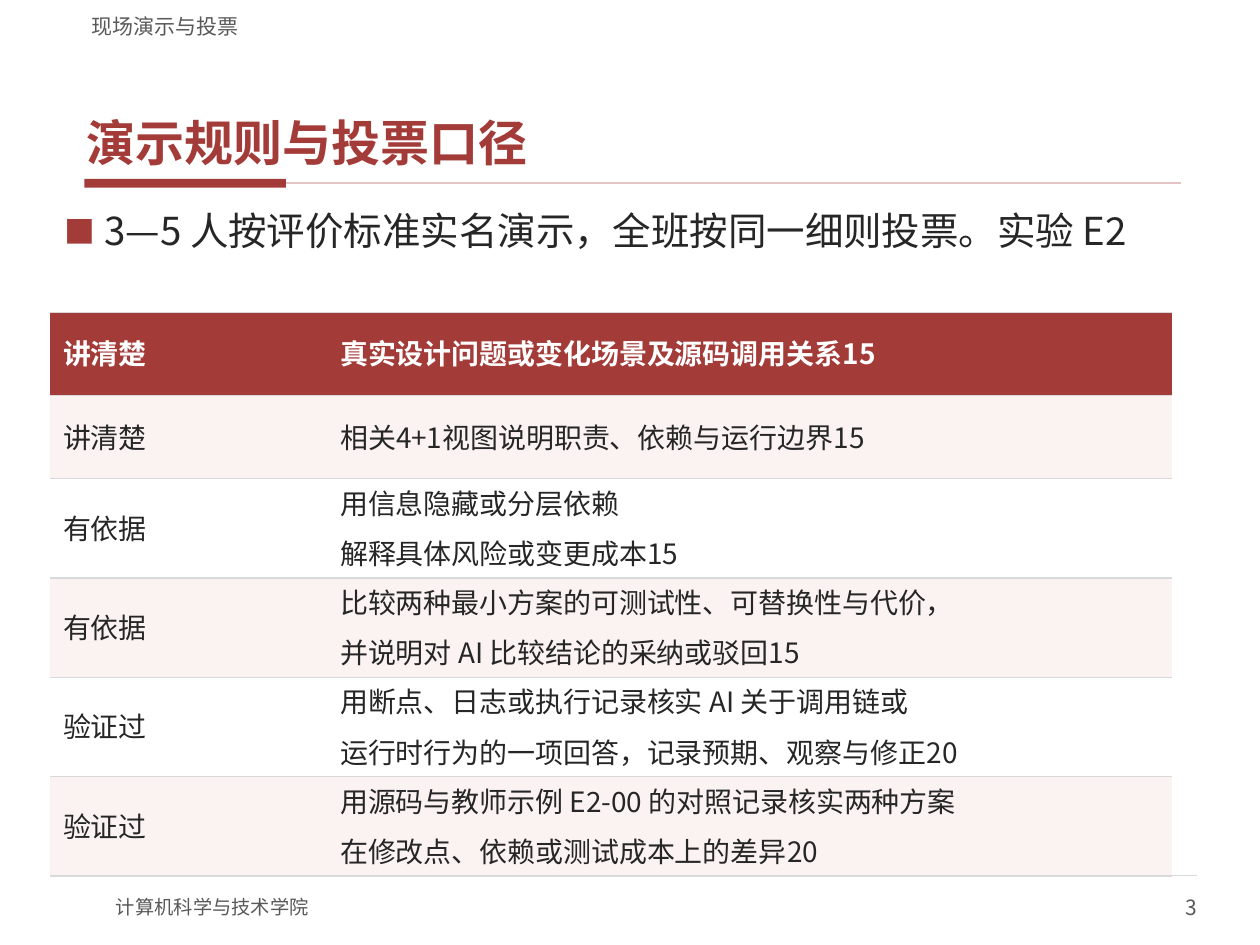
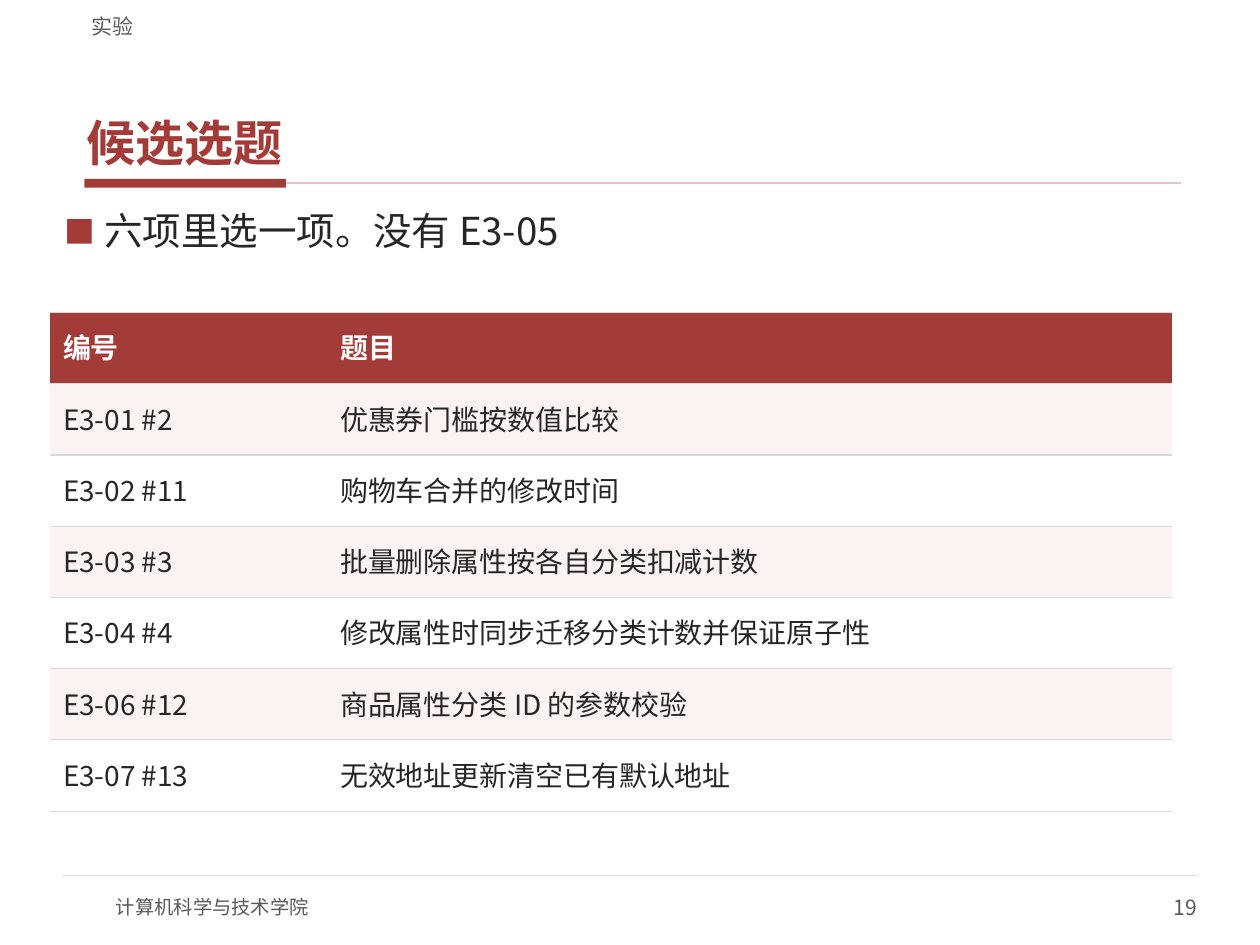
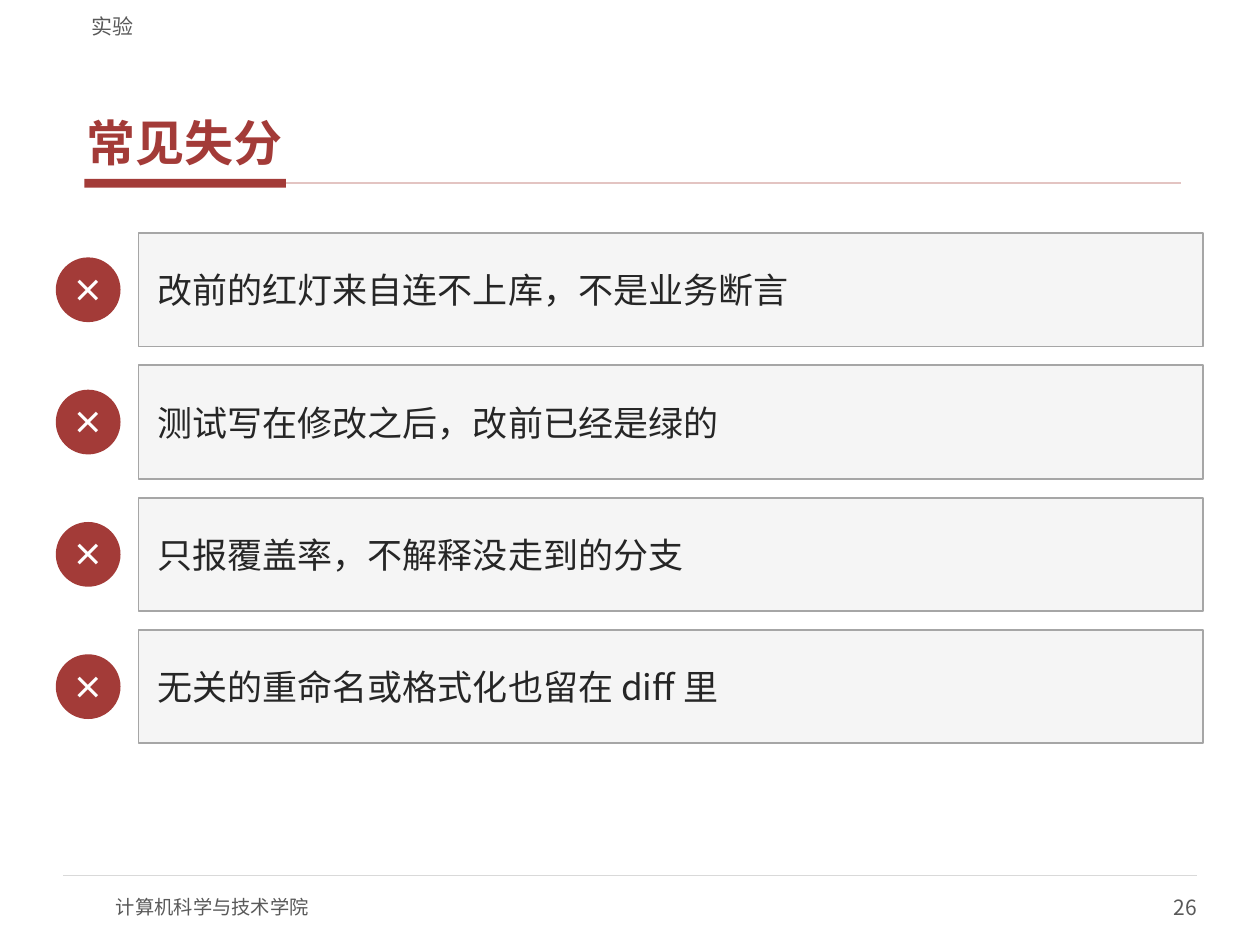
from lxml.etree import SubElement
from pptx import Presentation
from pptx.dml.color import RGBColor
from pptx.enum.shapes import MSO_CONNECTOR, MSO_SHAPE
from pptx.enum.text import MSO_ANCHOR, MSO_AUTO_SIZE, PP_ALIGN
from pptx.oxml.ns import qn
from pptx.util import Pt

# Content
FOOTER = "计算机科学与技术学院"
SLIDES = [
    {
        "section": "现场演示与投票",
        "title": "演示规则与投票口径",
        "number": 3,
        "lead": "3—5 人按评价标准实名演示，全班按同一细则投票。实验 E2",
        "rows": [
            ("讲清楚", "真实设计问题或变化场景及源码调用关系15"),
            ("讲清楚", "相关4+1视图说明职责、依赖与运行边界15"),
            ("有依据", "用信息隐藏或分层依赖\n解释具体风险或变更成本15"),
            ("有依据", "比较两种最小方案的可测试性、可替换性与代价，\n"
                       "并说明对 AI 比较结论的采纳或驳回15"),
            ("验证过", "用断点、日志或执行记录核实 AI 关于调用链或\n"
                       "运行时行为的一项回答，记录预期、观察与修正20"),
            ("验证过", "用源码与教师示例 E2-00 的对照记录核实两种方案\n"
                       "在修改点、依赖或测试成本上的差异20"),
        ],
    },
    {
        "section": "实验",
        "title": "候选选题",
        "number": 19,
        "lead": "六项里选一项。没有 E3-05",
        "rows": [
            ("编号", "题目"),
            ("E3-01 #2", "优惠券门槛按数值比较"),
            ("E3-02 #11", "购物车合并的修改时间"),
            ("E3-03 #3", "批量删除属性按各自分类扣减计数"),
            ("E3-04 #4", "修改属性时同步迁移分类计数并保证原子性"),
            ("E3-06 #12", "商品属性分类 ID 的参数校验"),
            ("E3-07 #13", "无效地址更新清空已有默认地址"),
        ],
    },
    {
        "section": "实验",
        "title": "常见失分",
        "number": 26,
        "mistakes": [
            "改前的红灯来自连不上库，不是业务断言",
            "测试写在修改之后，改前已经是绿的",
            "只报覆盖率，不解释没走到的分支",
            "无关的重命名或格式化也留在 diff 里",
        ],
    },
]

# Shared style
FONT = "Noto Sans CJK SC"
RED = RGBColor(0xA3, 0x3B, 0x38)
PALE_RED = RGBColor(0xE3, 0xC4, 0xC2)
BAND = RGBColor(0xFB, 0xF3, 0xF2)
WHITE = RGBColor(0xFF, 0xFF, 0xFF)
INK = RGBColor(0x26, 0x26, 0x26)
GREY = RGBColor(0x59, 0x59, 0x59)
RULE_GREY = RGBColor(0xD9, 0xD9, 0xD9)
CARD_FILL = RGBColor(0xF5, 0xF5, 0xF5)
CARD_LINE = RGBColor(0xA6, 0xA6, 0xA6)

TITLE_STYLE = {"size": Pt(28), "bold": True, "color": RED}
LEAD_STYLE = {"size": Pt(22), "color": INK}
HEADER_STYLE = {"size": Pt(16), "bold": True, "color": WHITE}
CELL_STYLE = {"size": Pt(16), "bold": False, "color": INK}
CARD_STYLE = {"size": Pt(20), "color": INK}
MARK_STYLE = {"size": Pt(18), "bold": True, "color": WHITE}
SMALL_STYLE = {"size": Pt(12), "color": GREY}
FOOTER_STYLE = {"size": Pt(11), "color": GREY}

TEXT_INSETS = (4.32, 1.44)
TABLE_BOX = (28.8, 178.56, 640.8, 285.12)
COLUMN_WIDTHS = (158.4, 482.4)
CARD_TOP, CARD_HEIGHT, CARD_GAP = 133.2, 64.8, 10.8
MARK_SIZE = 36


def points(*values):
    return [Pt(value) for value in values]


def write(frame, text, style, align=PP_ALIGN.LEFT, before=0, after=0, spacing=None):
    """Fill a text frame, one paragraph per line of text."""
    for index, line in enumerate(text.split("\n")):
        paragraph = frame.paragraphs[0] if index == 0 else frame.add_paragraph()
        formats = {
            "alignment": align,
            "space_before": Pt(before if index else 0),
            "space_after": Pt(after),
            "line_spacing": spacing,
        }
        for name, value in formats.items():
            setattr(paragraph, name, value)
        run = paragraph.add_run()
        run.text = line
        run.font.name = FONT
        for name, value in style.items():
            if name == "color":
                run.font.color.rgb = value
            else:
                setattr(run.font, name, value)
        properties = run._r.get_or_add_rPr()
        SubElement(properties, qn("a:ea"), typeface=FONT)


def set_frame(frame, anchor, insets=(0, 0)):
    horizontal, vertical = points(*insets)
    formats = {
        "word_wrap": True,
        "auto_size": MSO_AUTO_SIZE.NONE,
        "vertical_anchor": anchor,
        "margin_left": horizontal,
        "margin_right": horizontal,
        "margin_top": vertical,
        "margin_bottom": vertical,
    }
    for name, value in formats.items():
        setattr(frame, name, value)


def add_text(slide, box, text, style, anchor, insets=(0, 0), **paragraph_format):
    frame = slide.shapes.add_textbox(*points(*box)).text_frame
    set_frame(frame, anchor, insets)
    write(frame, text, style, **paragraph_format)
    return frame


def add_block(slide, kind, box, fill, line=None):
    shape = slide.shapes.add_shape(kind, *points(*box))
    shape.shadow.inherit = False
    shape.fill.solid()
    shape.fill.fore_color.rgb = fill
    if line is None:
        shape.line.fill.background()
    else:
        shape.line.color.rgb = line
        shape.line.width = Pt(1)
    return shape


def add_rule(slide, left, right, y, color, width):
    rule = slide.shapes.add_connector(MSO_CONNECTOR.STRAIGHT, *points(left, y, right, y))
    rule.line.color.rgb = color
    rule.line.width = Pt(width)
    SubElement(rule._element.spPr, qn("a:effectLst"))
    return rule


def add_frame(slide, content):
    """Title with its rule, section label, footer and page number."""
    accent = add_block(slide, MSO_SHAPE.RECTANGLE, (48.24, 102.24, 115.2, 5.04), RED)
    title_rule = add_rule(slide, 163.44, 674.64, 104.76, PALE_RED, 1)
    title_rule.begin_connect(accent, 3)
    add_rule(slide, 36, 684, 500.4, RULE_GREY, 0.75)
    add_text(slide, (66.24, 504, 288, 28.8), FOOTER, FOOTER_STYLE, MSO_ANCHOR.MIDDLE)
    add_text(slide, (540, 504, 144, 28.8), str(content["number"]), SMALL_STYLE,
             MSO_ANCHOR.MIDDLE, align=PP_ALIGN.RIGHT)

    title = slide.shapes.title
    title.left, title.top, title.width, title.height = points(45.36, 23.76, 630, 75.6)
    set_frame(title.text_frame, MSO_ANCHOR.BOTTOM, TEXT_INSETS)
    write(title.text_frame, content["title"], TITLE_STYLE, after=2)

    add_text(slide, (45.36, 2.88, 630, 19.44), content["section"], SMALL_STYLE,
             MSO_ANCHOR.BOTTOM, (7.2, 0))


def add_lead(slide, text):
    frame = add_text(slide, (32.4, 116.64, 655.2, 56.16), text, LEAD_STYLE,
                     MSO_ANCHOR.TOP, TEXT_INSETS, after=2)
    properties = frame.paragraphs[0]._p.get_or_add_pPr()
    properties.set("marL", str(Pt(23.04)))
    properties.set("indent", str(-Pt(23.04)))
    color = SubElement(properties, qn("a:buClr"))
    SubElement(color, qn("a:srgbClr"), val=str(RED))
    SubElement(properties, qn("a:buSzPct"), val="80000")
    SubElement(properties, qn("a:buFont"), typeface=FONT)
    SubElement(properties, qn("a:buChar"), char="■")


def set_borders(cell):
    """Grey lines above and below, none at the sides."""
    properties = cell._tc.get_or_add_tcPr()
    for side in ("lnL", "lnR"):
        SubElement(SubElement(properties, qn(f"a:{side}")), qn("a:noFill"))
    for side in ("lnT", "lnB"):
        line = SubElement(properties, qn(f"a:{side}"), w=str(Pt(0.75)))
        fill = SubElement(line, qn("a:solidFill"))
        SubElement(fill, qn("a:srgbClr"), val=str(RULE_GREY))


def add_banded_table(slide, rows):
    shape = slide.shapes.add_table(len(rows), len(COLUMN_WIDTHS), *points(*TABLE_BOX))
    table = shape.table
    table.horz_banding = False
    for column, width in zip(table.columns, COLUMN_WIDTHS):
        column.width = Pt(width)
    for row_index, row in enumerate(rows):
        table.rows[row_index].height = Pt(TABLE_BOX[3] / len(rows))
        if row_index == 0:
            fill, style = RED, HEADER_STYLE
        else:
            fill, style = (BAND if row_index % 2 else WHITE), CELL_STYLE
        for column_index, text in enumerate(row):
            cell = table.cell(row_index, column_index)
            cell.vertical_anchor = MSO_ANCHOR.MIDDLE
            set_borders(cell)
            cell.fill.solid()
            cell.fill.fore_color.rgb = fill
            write(cell.text_frame, text, style, before=6, after=2, spacing=0.9)


def add_mistakes(slide, mistakes):
    for index, text in enumerate(mistakes):
        top = CARD_TOP + index * (CARD_HEIGHT + CARD_GAP)
        mark_top = top + (CARD_HEIGHT - MARK_SIZE) / 2
        mark = add_block(slide, MSO_SHAPE.OVAL, (32.4, mark_top, MARK_SIZE, MARK_SIZE), RED, RED)
        set_frame(mark.text_frame, MSO_ANCHOR.MIDDLE)
        write(mark.text_frame, "×", MARK_STYLE, align=PP_ALIGN.CENTER)
        card = add_block(slide, MSO_SHAPE.RECTANGLE, (79.2, top, 608.4, CARD_HEIGHT),
                         CARD_FILL, CARD_LINE)
        set_frame(card.text_frame, MSO_ANCHOR.MIDDLE, (10.8, 5.04))
        write(card.text_frame, text, CARD_STYLE)


def main():
    presentation = Presentation()
    presentation.slide_width, presentation.slide_height = points(720, 540)
    title_only = presentation.slide_layouts[5]
    for content in SLIDES:
        slide = presentation.slides.add_slide(title_only)
        add_frame(slide, content)
        if "lead" in content:
            add_lead(slide, content["lead"])
            add_banded_table(slide, content["rows"])
        else:
            add_mistakes(slide, content["mistakes"])
    presentation.save("out.pptx")


if __name__ == "__main__":
    main()
